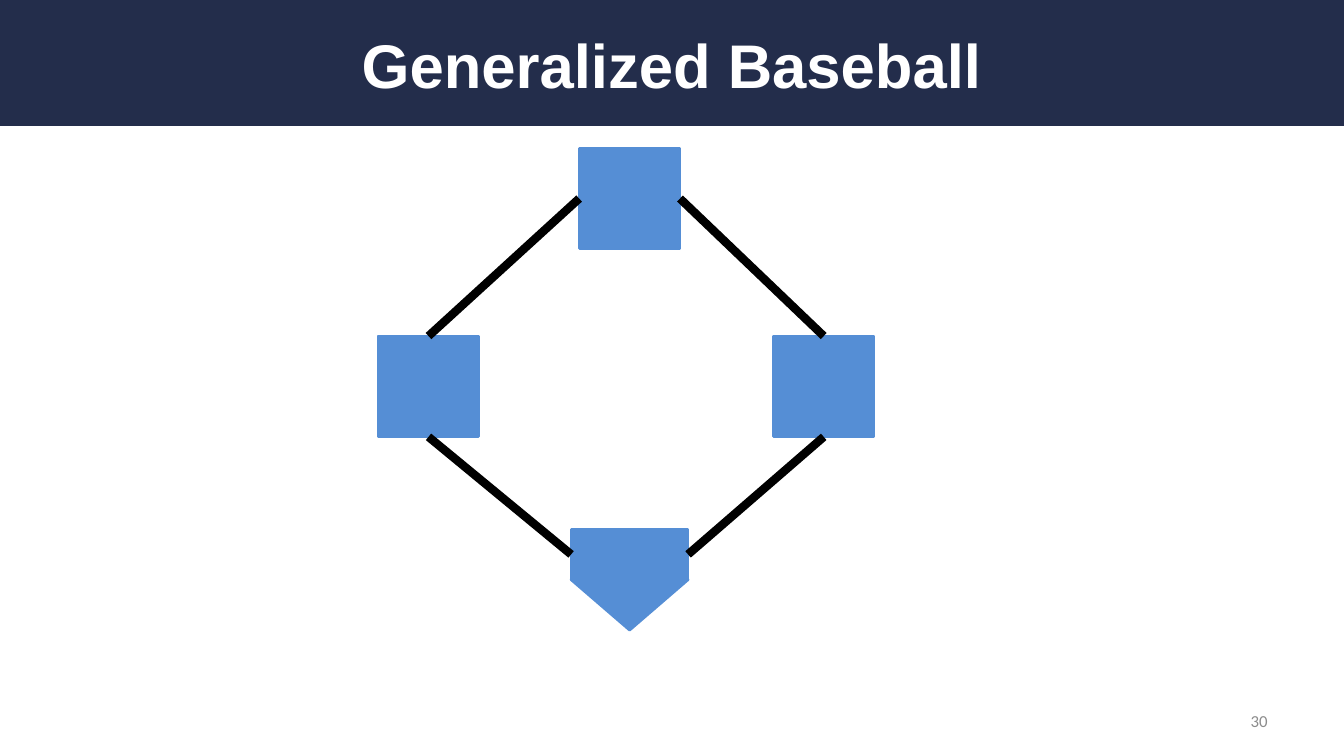
from lxml.etree import SubElement
from pptx import Presentation
from pptx.dml.color import RGBColor
from pptx.enum.shapes import MSO_CONNECTOR, MSO_SHAPE
from pptx.enum.text import MSO_ANCHOR, PP_ALIGN
from pptx.oxml.ns import qn
from pptx.util import Inches, Pt

NAVY = RGBColor(0x23, 0x2D, 0x4B)
BLUE = RGBColor(0x55, 0x8E, 0xD5)
WHITE = RGBColor(0xFF, 0xFF, 0xFF)
GRAY = RGBColor(0x8C, 0x8C, 0x8C)
BLACK = RGBColor(0x00, 0x00, 0x00)

TITLE_FONT = {"name": "Arial", "size": Pt(44), "bold": True}
NUMBER_FONT = {"name": "Calibri", "size": Pt(12)}
TOP, LEFT, BOTTOM, RIGHT = range(4)


def add_solid(shapes, kind, box, fill, line=None):
    sp = shapes.add_shape(kind, *map(Inches, box))
    sp.shadow.inherit = False
    sp.fill.solid()
    sp.fill.fore_color.rgb = fill
    if line:
        sp.line.color.rgb = fill
        sp.line.width = Pt(line)
    else:
        sp.line.fill.background()
    return sp


def add_text(s, box, text, font, color, align):
    tf = s.shapes.add_textbox(*map(Inches, box)).text_frame
    tf.word_wrap = True
    tf.vertical_anchor = MSO_ANCHOR.MIDDLE
    p = tf.paragraphs[0]
    p.alignment = align
    r = p.add_run()
    r.text = text
    for key, value in font.items():
        setattr(r.font, key, value)
    r.font.color.rgb = color


def add_header(s, box, title):
    x, y, w, h = box
    add_solid(s.shapes, MSO_SHAPE.RECTANGLE, box, NAVY)
    add_text(s, (x + 0.05 * w, y + 0.14 * h, 0.9 * w, 0.74 * h),
             title, TITLE_FONT, WHITE, PP_ALIGN.CENTER)


def add_home_plate(s, box):
    x, y, w, h = box
    shapes = s.shapes.add_group_shape().shapes
    tip = add_solid(shapes, MSO_SHAPE.ISOSCELES_TRIANGLE,
                    (x, y + h / 2, w, h / 2), BLUE, 2)
    tip.rotation = 180
    return add_solid(shapes, MSO_SHAPE.RECTANGLE, (x, y, w, h / 2), BLUE, 2)


def add_base_path(s, start, start_site, end, end_site):
    line = s.shapes.add_connector(MSO_CONNECTOR.STRAIGHT, 0, 0, 0, 0)
    line.begin_connect(start, start_site)
    line.end_connect(end, end_site)
    line.line.color.rgb = BLACK
    line.line.width = Pt(6)
    SubElement(line._element.spPr, qn("a:effectLst"))


def add_diamond(s, box, base=1, plate=1.16):
    x, y, w, h = box
    mid_x = x + 0.507 * w
    side_y = y + 0.39 * h
    home = add_home_plate(s, (mid_x - plate / 2, y + h - base, plate, base))
    third, first, second = [
        add_solid(s.shapes, MSO_SHAPE.RECTANGLE, (left, top, base, base), BLUE, 2)
        for left, top in ((x, side_y), (x + w - base, side_y), (mid_x - base / 2, y))]
    for path in ((home, RIGHT, first, BOTTOM), (third, BOTTOM, home, LEFT),
                 (second, LEFT, third, TOP), (first, TOP, second, RIGHT)):
        add_base_path(s, *path)


def main():
    prs = Presentation()
    width, height = 13.33, 7.5
    prs.slide_width, prs.slide_height = Inches(width), Inches(height)
    s = prs.slides.add_slide(prs.slide_layouts[6])
    add_header(s, (0, 0, width, height / 6), "Generalized Baseball")
    add_text(s, (9.56, 6.95, 3.11, 0.4), "30", NUMBER_FONT, GRAY, PP_ALIGN.RIGHT)
    add_diamond(s, (3.75, 1.47, 4.92, 4.78))
    prs.save("out.pptx")


if __name__ == "__main__":
    main()
